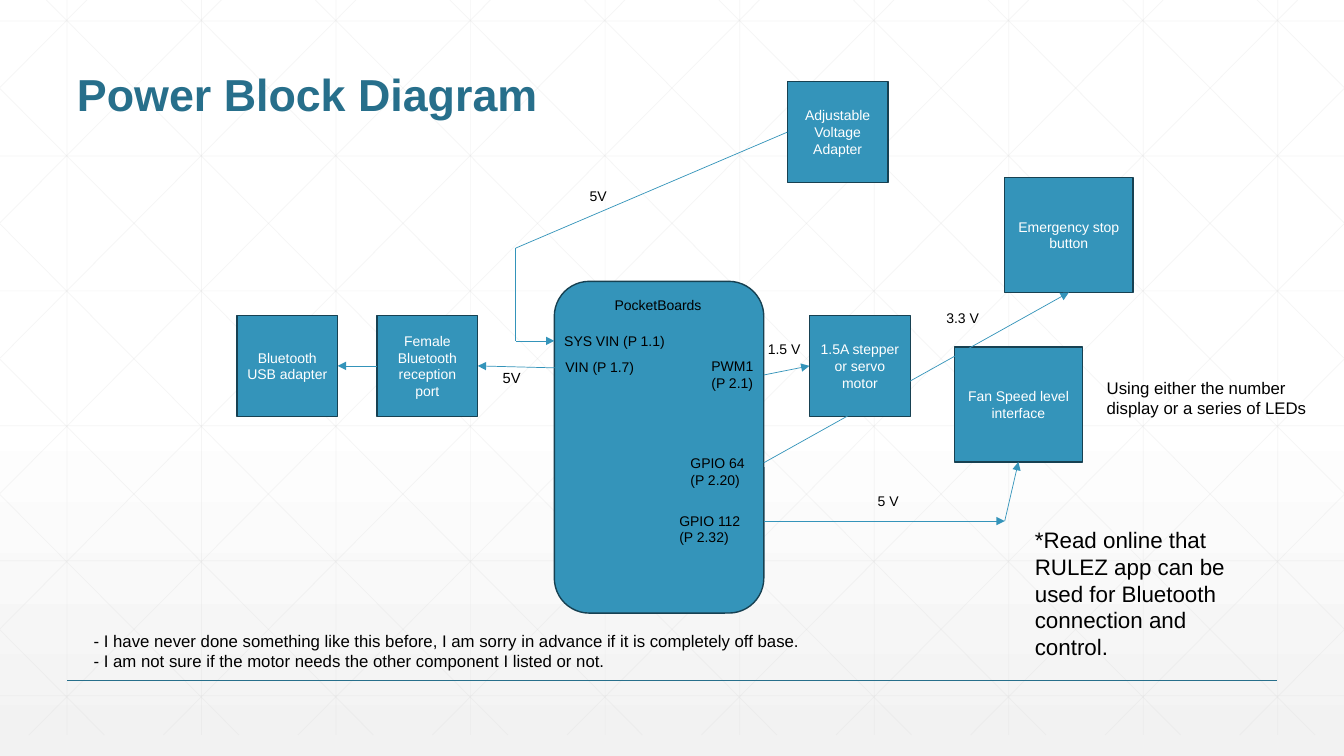
from lxml import etree
from pptx import Presentation
from pptx.dml.color import RGBColor
from pptx.enum.shapes import MSO_CONNECTOR, MSO_SHAPE
from pptx.enum.text import MSO_ANCHOR, MSO_AUTO_SIZE, PP_ALIGN
from pptx.oxml.ns import qn
from pptx.util import Cm, Pt

STRAIGHT = MSO_CONNECTOR.STRAIGHT
RECTANGLE = MSO_SHAPE.RECTANGLE
ROUNDED = MSO_SHAPE.ROUNDED_RECTANGLE
TOP, MIDDLE, BOTTOM = MSO_ANCHOR.TOP, MSO_ANCHOR.MIDDLE, MSO_ANCHOR.BOTTOM
LEFT, CENTER = PP_ALIGN.LEFT, PP_ALIGN.CENTER
GROW = MSO_AUTO_SIZE.SHAPE_TO_FIT_TEXT

WIDTH, HEIGHT = 33.87, 19.05
FONT = "Arial"
WHITE, BLACK, GRAY = "FFFFFF", "000000", "D9D9D9"
BLUE, NAVY, TEAL = "3494BA", "174152", "276F8B"
LEFT_SITE, BOTTOM_SITE, RIGHT_SITE = 1, 2, 3


def color(value):
    return RGBColor.from_string(value)


def write_text(shape, text, size=10, fill=BLACK, bold=False, align=LEFT,
               anchor=TOP, spacing=None):
    frame = shape.text_frame
    frame.word_wrap = True
    frame.vertical_anchor = anchor
    for index, line in enumerate(text.split("\n")):
        paragraph = frame.add_paragraph() if index else frame.paragraphs[0]
        paragraph.alignment = align
        paragraph.line_spacing = spacing
        run = paragraph.add_run()
        run.text = line
        run.font.name = FONT
        run.font.size = Pt(size)
        run.font.bold = bold
        run.font.color.rgb = color(fill)


def add_label(slide, text, left, top, width, height, **text_format):
    label = slide.shapes.add_textbox(Cm(left), Cm(top), Cm(width), Cm(height))
    write_text(label, text, **text_format)
    label.text_frame.auto_size = GROW
    return label


def add_block(slide, text, left, top, width=2.54, height=2.54, kind=RECTANGLE):
    block = slide.shapes.add_shape(kind, Cm(left), Cm(top), Cm(width), Cm(height))
    block.shadow.inherit = False
    block.fill.solid()
    block.fill.fore_color.rgb = color(BLUE)
    block.line.color.rgb = color(NAVY)
    block.line.width = Pt(1)
    if text:
        write_text(block, text, fill=WHITE, align=CENTER, anchor=MIDDLE)
    return block


def add_line(slide, start, end, stroke=BLUE, width=0.5, opacity=None):
    line = slide.shapes.add_connector(
        STRAIGHT, Cm(start[0]), Cm(start[1]), Cm(end[0]), Cm(end[1]))
    line.line.color.rgb = color(stroke)
    line.line.width = Pt(width)
    properties = line.element.spPr
    etree.SubElement(properties, qn("a:effectLst"))
    if opacity is not None:
        stroke_color = properties.find(".//" + qn("a:srgbClr"))
        etree.SubElement(stroke_color, qn("a:alpha"), val=str(opacity * 1000))
    return line


def add_arrow(slide, start, end, source=None, target=None):
    arrow = add_line(slide, start, end)
    if source:
        arrow.begin_connect(*source)
    if target:
        arrow.end_connect(*target)
    etree.SubElement(arrow.line._get_or_add_ln(), qn("a:tailEnd"), type="triangle")


def add_background(slide):
    fill = slide.background.fill
    fill.gradient()
    fill.gradient_angle = 270
    for stop, position, value in zip(fill.gradient_stops, (0.53, 1), (WHITE, "F2F2F2")):
        stop.position = position
        stop.color.rgb = color(value)


def add_grid(slide):
    step, bottom, slope, run = 3.39, 18.52, 1.006, 18.41

    def grid_line(start, end):
        add_line(slide, start, end, stroke=GRAY, opacity=25)

    for column in range(10):
        x = 1.69 + column * step
        grid_line((x, 0), (x, bottom))
    for row in range(6):
        y = 0.53 + row * 3.4
        grid_line((0, y), (WIDTH, y))
    for index in range(-5, 10):
        x = 1.17 + index * step
        left, right = max(x, 0), min(x + run, WIDTH)
        upper, lower = (left - x) * slope, (right - x) * slope
        grid_line((left, upper), (right, lower))
        grid_line((WIDTH - left, upper), (WIDTH - right, lower))


def add_diagram(slide):
    add_block(slide, "", 13.97, 7.09, 5.28, 8.36, kind=ROUNDED)
    motor = add_block(slide, "1.5A stepper or servo motor", 20.4, 7.95)
    port = add_block(slide, "Female Bluetooth reception port", 9.5, 7.95)
    usb = add_block(slide, "Bluetooth USB adapter", 5.97, 7.95)
    supply = add_block(slide, "Adjustable Voltage Adapter", 19.84, 2.06)
    stop = add_block(slide, "Emergency stop button", 25.32, 4.47, 3.23, 2.9)
    fan = add_block(slide, "Fan Speed level interface", 24.05, 8.74, 3.23, 2.9)

    add_arrow(slide, (14, 9.27), (12.04, 9.22), target=(port, RIGHT_SITE))
    add_arrow(slide, (9.5, 9.22), (8.51, 9.22), (port, LEFT_SITE), (usb, RIGHT_SITE))
    add_arrow(slide, (19.25, 9.45), (20.4, 9.22), target=(motor, LEFT_SITE))
    add_line(slide, (19.84, 3.33), (13, 6.25)).begin_connect(supply, LEFT_SITE)
    add_line(slide, (13, 6.25), (13, 8.59))
    add_arrow(slide, (13, 8.59), (13.97, 8.59))
    add_arrow(slide, (19.25, 13.13), (25.32, 13.13))
    add_arrow(slide, (25.32, 13.13), (25.66, 11.64), target=(fan, BOTTOM_SITE))
    add_arrow(slide, (19.25, 11.66), (26.93, 7.37), target=(stop, BOTTOM_SITE))

    for text, left, top, width, height in (
        ("PocketBoards", 15.24, 7.34, 2.74, 0.69),
        ("SYS VIN (P 1.1)", 13.97, 8.26, 3.18, 0.69),
        ("VIN (P 1.7)", 14, 8.92, 2.54, 0.69),
        ("PWM1 (P 2.1)", 17.68, 8.89, 1.57, 1.12),
        ("GPIO 64 (P 2.20)", 17.15, 11.33, 2.11, 1.12),
        ("GPIO 112 (P 2.32)", 16.87, 12.78, 2.11, 1.12),
        ("5V", 14.61, 4.6, 1.17, 0.69),
        ("1.5 V", 19.1, 8.46, 1.57, 0.69),
        ("3.3 V", 23.6, 7.67, 1.73, 0.69),
        ("5 V", 21.87, 12.29, 1.57, 0.69),
    ):
        add_label(slide, text, left, top, width, height)
    add_label(slide, "5V", 12.42, 9.17, 1.07, 0.71, size=10.5)


def add_notes_text(slide):
    add_label(slide, "- I have never done something like this before, I am sorry in "
              "advance if it is completely off base.\n- I am not sure if the motor needs "
              "the other component I listed or not.", 2.11, 15.77, 29.01, 1.27, size=12)
    add_label(slide, "*Read online that RULEZ app can be used for Bluetooth connection "
              "and control.", 25.83, 13.13, 5.38, 3.68, size=16)
    add_label(slide, "Using either the number display or a series of LEDs",
              27.64, 9.4, 5.61, 1.27, size=12)


def main():
    presentation = Presentation()
    presentation.slide_width, presentation.slide_height = Cm(WIDTH), Cm(HEIGHT)
    slide = presentation.slides.add_slide(presentation.slide_layouts[6])
    add_background(slide)
    add_grid(slide)
    add_line(slide, (1.69, 17.15), (32.17, 17.15), stroke=TEAL, width=1)
    title = add_label(slide, "Power Block Diagram", 1.69, 0.64, 30.48, 2.54, size=32,
                      fill=TEAL, bold=True, anchor=BOTTOM, spacing=0.9)
    title.text_frame.auto_size = MSO_AUTO_SIZE.NONE
    add_diagram(slide)
    add_notes_text(slide)
    presentation.save("out.pptx")


if __name__ == "__main__":
    main()
